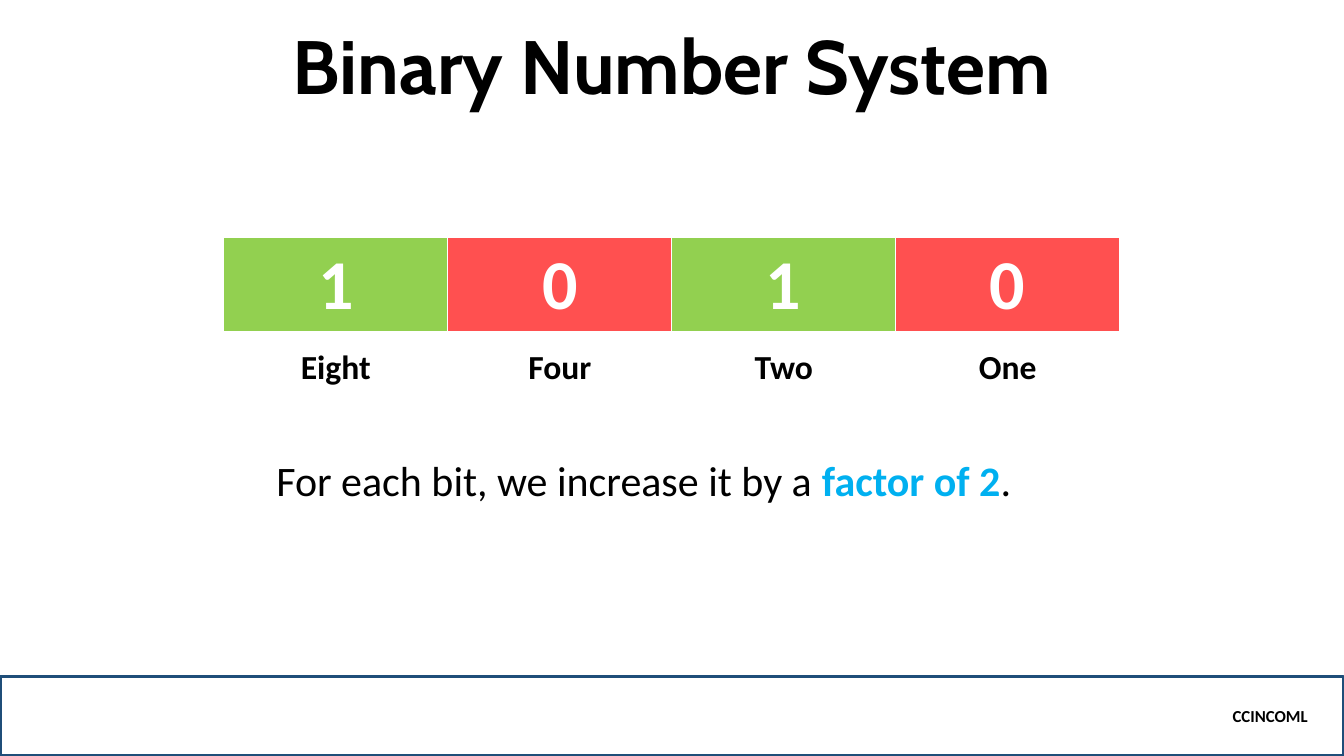
from dataclasses import dataclass

import pptx
import pptx.dml.color
import pptx.enum.shapes
import pptx.enum.text
import pptx.oxml
import pptx.oxml.ns
import pptx.util
from pptx.util import Cm

Align = pptx.enum.text.PP_ALIGN
Anchor = pptx.enum.text.MSO_ANCHOR


@dataclass(frozen=True)
class Theme:
    ink: str = "000000"
    paper: str = "FFFFFF"
    on: str = "92D050"
    off: str = "FF5050"
    accent: str = "00B0F0"
    frame: str = "1F4E79"
    heading_font: str = "Cabin"
    body_font: str = "Calibri"
    title_size: int = 54
    bit_size: int = 50
    body_size: int = 30
    label_size: int = 24
    footer_size: int = 12


THEME = Theme()
BITS = [("1", "Eight"), ("0", "Four"), ("1", "Two"), ("0", "One")]


def rgb(colour):
    return pptx.dml.color.RGBColor.from_string(colour)


def style(font, size, colour=THEME.ink, bold=True, name=THEME.body_font):
    font.name, font.size, font.bold = name, pptx.util.Pt(size), bold
    font.color.rgb = rgb(colour)


def place(shape, box):
    shape.left, shape.top, shape.width, shape.height = box


def border_cell(cell, widths):
    """Draw solid borders; widths maps a side tag to points."""
    properties = cell._tc.get_or_add_tcPr()
    for position, (side, points) in enumerate(widths.items()):
        properties.insert(position, pptx.oxml.parse_xml(
            f'<a:{side} {pptx.oxml.ns.nsdecls("a")} w="{pptx.util.Pt(points)}">'
            f'<a:solidFill><a:srgbClr val="{THEME.paper}"/></a:solidFill></a:{side}>'))


def fill_title(title, box):
    place(title, box)
    frame = title.text_frame
    frame.text = "Binary Number System"
    frame.auto_size = pptx.enum.text.MSO_AUTO_SIZE.NONE
    frame.vertical_anchor = Anchor.BOTTOM
    heading = frame.paragraphs[0]
    heading.alignment, heading.line_spacing = Align.CENTER, 0.9
    style(heading.runs[0].font, THEME.title_size, name=THEME.heading_font)


def fill_rule(subtitle, box):
    place(subtitle, box)
    frame = subtitle.text_frame
    frame.auto_size = pptx.enum.text.MSO_AUTO_SIZE.NONE
    frame.vertical_anchor = Anchor.TOP
    rule = frame.paragraphs[0]
    rule.alignment, rule.line_spacing = Align.LEFT, 0.9
    rule.space_before = pptx.util.Pt(0)
    for words, colour, bold in [
        ("For each bit, we increase it by a ", THEME.ink, False),
        ("factor of 2", THEME.accent, True),
        (".", THEME.ink, False),
    ]:
        run = rule.add_run()
        run.text = words
        style(run.font, THEME.body_size, colour, bold)


def add_bits(slide, box):
    """A one-row table of bits with a place value centred below each."""
    left, top, width, height = box
    column_width = width // len(BITS)
    table = slide.shapes.add_table(1, len(BITS), *box).table
    table.first_row = table.horz_banding = False
    for index, (bit, place_value) in enumerate(BITS):
        cell = table.cell(0, index)
        cell.text = bit
        cell.fill.solid()
        cell.fill.fore_color.rgb = rgb(THEME.on if bit == "1" else THEME.off)
        border_cell(cell, {"lnL": 1, "lnR": 1, "lnT": 1, "lnB": 3})
        digit = cell.text_frame.paragraphs[0]
        digit.alignment = Align.CENTER
        style(digit.runs[0].font, THEME.bit_size, THEME.paper)

        label = slide.shapes.add_textbox(
            left + index * column_width, top + height + Cm(0.25),
            column_width, Cm(1.27)).text_frame
        label.word_wrap = True
        label.text = place_value
        label.paragraphs[0].alignment = Align.CENTER
        style(label.paragraphs[0].runs[0].font, THEME.label_size)


def add_footer(slide, box):
    footer = slide.shapes.add_shape(
        pptx.enum.shapes.MSO_SHAPE.RECTANGLE, *box)
    footer.shadow.inherit = False
    footer.fill.background()
    footer.line.color.rgb = rgb(THEME.frame)
    footer.line.width = pptx.util.Pt(2.25)
    frame = footer.text_frame
    frame.text = "CCINCOML"
    frame.margin_right = Cm(0.91)
    frame.vertical_anchor = Anchor.MIDDLE
    frame.paragraphs[0].alignment = Align.RIGHT
    style(frame.paragraphs[0].runs[0].font, THEME.footer_size)


def main():
    deck = pptx.Presentation()
    deck.slide_width, deck.slide_height = Cm(33.87), Cm(19.05)
    slide = deck.slides.add_slide(deck.slide_layouts[0])
    fill_title(slide.shapes.title, (Cm(4.23), Cm(0.53), Cm(25.4), Cm(2.39)))
    add_bits(slide, (Cm(5.64), Cm(5.99), Cm(22.58), Cm(2.36)))
    fill_rule(slide.placeholders[1], (Cm(6.71), Cm(11.46), Cm(20.45), Cm(1.63)))
    footer_height = Cm(2.01)
    add_footer(slide, (0, deck.slide_height - footer_height,
                       deck.slide_width, footer_height))
    deck.save("out.pptx")


if __name__ == "__main__":
    main()
